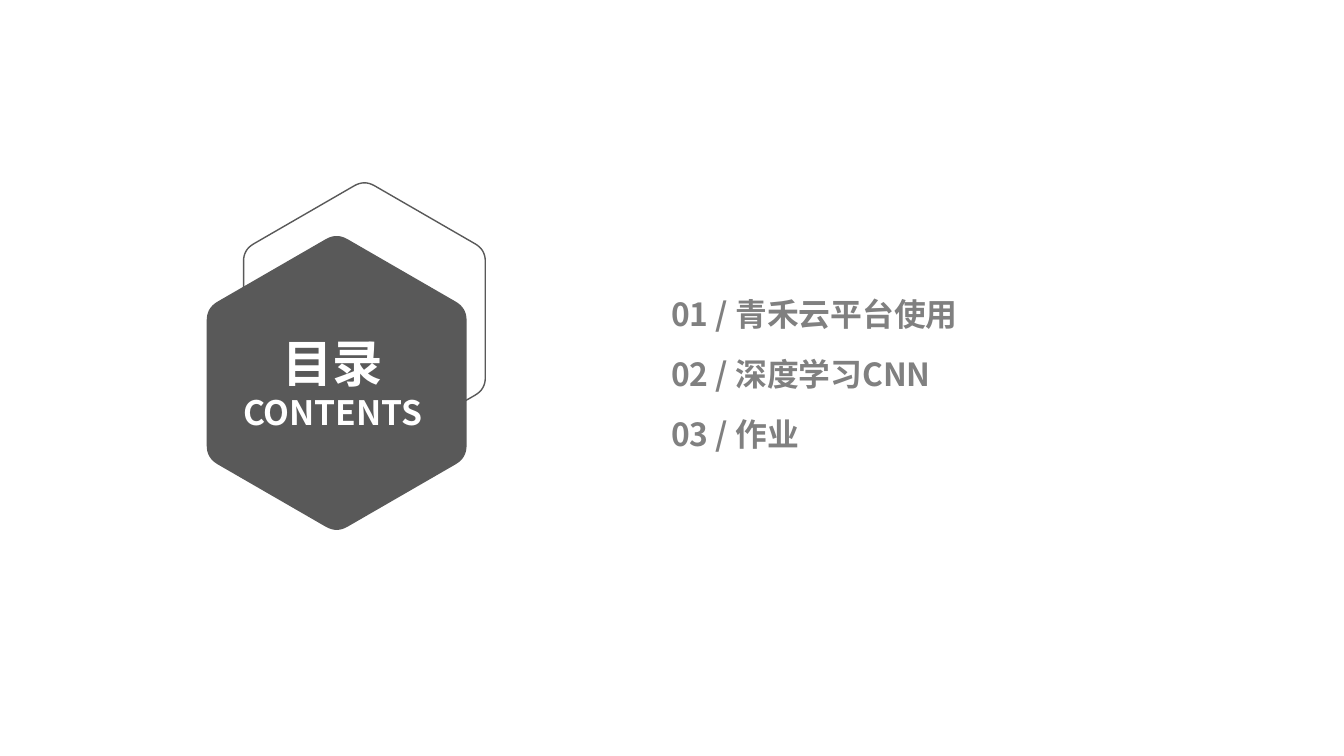
from math import cos, radians, sin, sqrt

from lxml.etree import SubElement
from pptx import Presentation
from pptx.dml.color import RGBColor
from pptx.enum.text import MSO_ANCHOR as Anchor, MSO_AUTO_SIZE as AutoSize, PP_ALIGN as Align
from pptx.oxml.ns import qn
from pptx.util import Cm, Pt

FONT = "Noto Sans CJK SC"
DARK = RGBColor(0x59, 0x59, 0x59)
GRAY = RGBColor(0x80, 0x80, 0x80)
WHITE = RGBColor(0xFF, 0xFF, 0xFF)

TOPICS = ["青禾云平台使用", "深度学习CNN", "作业"]


def hexagon_points(cx, cy, width, rounding=0.083, steps=8):
    """Return the outline of an upright hexagon with rounded corners."""
    radius = width / sqrt(3)
    corners = [(cx + radius * sin(radians(a)), cy - radius * cos(radians(a)))
               for a in range(0, 360, 60)]
    points = []
    for i, (x, y) in enumerate(corners):
        (ax, ay), (bx, by) = corners[i - 1], corners[(i + 1) % 6]
        for t in (n / steps for n in range(steps + 1)):
            u, v = rounding * (1 - t) ** 2, rounding * t ** 2
            points.append((x + u * (ax - x) + v * (bx - x),
                           y + u * (ay - y) + v * (by - y)))
    return points


def add_hexagon(s, cx, cy, width):
    """Draw a rounded hexagon around the given centre."""
    points = hexagon_points(cx, cy, width)
    builder = s.shapes.build_freeform(*points[0], scale=1.0)
    builder.add_line_segments(points[1:], close=True)
    sp = builder.convert_to_shape()
    sp.shadow.inherit = False
    return sp


def place(sp, left, top, width, height):
    """Move a placeholder to a box and prepare its text frame."""
    sp.left, sp.top, sp.width, sp.height = left, top, width, height
    tf = sp.text_frame
    tf.word_wrap = True
    tf.auto_size = AutoSize.NONE
    tf.vertical_anchor = Anchor.TOP
    return tf


def add_line(tf, index, text, size, spacing, color, align):
    """Write one bold paragraph with a fixed line height."""
    p = tf.paragraphs[0] if index == 0 else tf.add_paragraph()
    p.alignment = align
    p.space_before = p.space_after = Pt(0)
    p.line_spacing = Pt(spacing)
    r = p.add_run()
    r.text = text
    r.font.size, r.font.bold, r.font.name = Pt(size), True, FONT
    r.font.color.rgb = color
    SubElement(r.font._element, qn("a:ea")).set("typeface", FONT)
    return p


def add_badge(s, left, top, width):
    """Draw the two hexagons and set the title on the front one."""
    cx, cy = left + width / 2, top + width / sqrt(3)
    back = add_hexagon(s, cx + Cm(0.7), cy - Cm(1.6), width * 0.93)
    back.fill.background()
    back.line.color.rgb = DARK
    back.line.width = Pt(1)
    front = add_hexagon(s, cx, cy, width)
    front.fill.solid()
    front.fill.fore_color.rgb = DARK
    front.line.fill.background()

    title = s.shapes.title
    front._element.addnext(title._element)
    tf = place(title, left + Cm(0.1), int(cy - Cm(1.41)), Cm(6.15), Cm(2.8))
    add_line(tf, 0, "目录", 36, 43.2, WHITE, Align.CENTER)
    add_line(tf, 1, "CONTENTS", 24, 28, WHITE, Align.CENTER)


def add_topics(s, left, top, width, height):
    """Fill the body placeholder with the numbered topics."""
    tf = place(s.placeholders[1], left, top, width, height)
    for i, topic in enumerate(TOPICS):
        p = add_line(tf, i, f"{i + 1:02} / {topic}", 22.7, 42.8, GRAY, Align.LEFT)
        pPr = p._p.get_or_add_pPr()
        pPr.set("marL", "0")
        pPr.set("indent", "0")
        SubElement(pPr, qn("a:buNone"))


def main():
    """Build and save the contents slide."""
    prs = Presentation()
    prs.slide_width, prs.slide_height = Cm(33.87), Cm(19.05)
    s = prs.slides.add_slide(prs.slide_layouts[1])
    add_badge(s, Cm(5.21), Cm(5.87), Cm(6.55))
    add_topics(s, Cm(16.66), Cm(6.76), Cm(11.02), Cm(4.8))
    prs.save("out.pptx")


if __name__ == "__main__":
    main()
